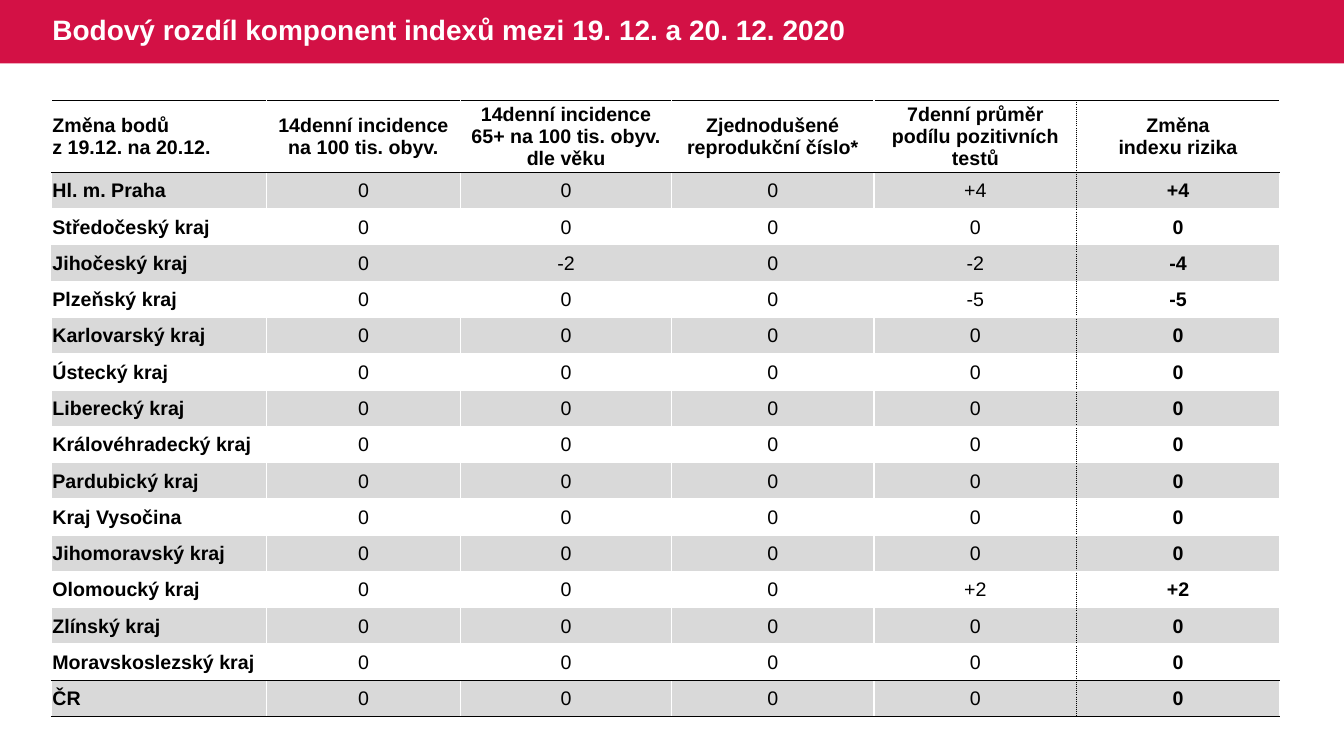
from lxml.etree import SubElement as Sub
from pptx import Presentation
from pptx.dml.color import RGBColor
from pptx.enum.shapes import MSO_SHAPE as Shape
from pptx.enum.text import MSO_ANCHOR as Anchor, PP_ALIGN as Align
from pptx.oxml.ns import qn
from pptx.util import Inches, Pt

RED = RGBColor(0xD3, 0x11, 0x45)
WHITE = RGBColor(0xFF, 0xFF, 0xFF)
BLACK = RGBColor(0x00, 0x00, 0x00)
GREY = RGBColor(0xD9, 0xD9, 0xD9)

TITLE = "Bodový rozdíl komponent indexů mezi 19. 12. a 20. 12. 2020"
HEAD = [
    "Změna bodů\nz 19.12. na 20.12.",
    "14denní incidence na 100 tis. obyv.",
    "14denní incidence 65+ na 100 tis. obyv. dle věku",
    "Zjednodušené reprodukční číslo*",
    "7denní průměr podílu pozitivních testů",
    "Změna\nindexu rizika",
]
AREAS = [
    "Hl. m. Praha", "Středočeský kraj", "Jihočeský kraj", "Plzeňský kraj",
    "Karlovarský kraj", "Ústecký kraj", "Liberecký kraj",
    "Královéhradecký kraj", "Pardubický kraj", "Kraj Vysočina",
    "Jihomoravský kraj", "Olomoucký kraj", "Zlínský kraj",
    "Moravskoslezský kraj", "ČR",
]
# Areas whose points changed; all others are zero
MOVES = {
    "Hl. m. Praha": ["0", "0", "0", "+4", "+4"],
    "Jihočeský kraj": ["0", "-2", "0", "-2", "-4"],
    "Plzeňský kraj": ["0", "0", "0", "-5", "-5"],
    "Olomoucký kraj": ["0", "0", "0", "+2", "+2"],
}
COLS = [2.13, 1.93, 2.09, 2.01, 2.01, 2.01]
ROW = 0.36
LAST = len(COLS) - 1
BARE = AREAS.index("Jihočeský kraj") + 1  # row without white grid lines
RULES = {0, 1, len(AREAS), len(AREAS) + 1}  # black lines, counted from the top


class Deck:
    font = "Arial"
    inset = {"margin_left": 0.01, "margin_top": 0.01,
             "margin_right": 0.01, "margin_bottom": 0}

    def __init__(self):
        self.prs = Presentation()
        self.prs.slide_width, self.prs.slide_height = Inches(13.33), Inches(7.5)
        self.slide = self.prs.slides.add_slide(self.prs.slide_layouts[6])

    def style(self, frame, size, color, bold, align=Align.LEFT):
        look = {"name": self.font, "size": Pt(size), "bold": bold}
        for para in frame.paragraphs:
            para.alignment = align
            for key, val in look.items():
                setattr(para.font, key, val)
            para.font.color.rgb = color

    def bar(self, x, y, w, h, color):
        box = self.slide.shapes.add_shape(
            Shape.RECTANGLE, Inches(x), Inches(y), Inches(w), Inches(h))
        box.shadow.inherit = False
        box.fill.solid()
        box.fill.fore_color.rgb = color
        box.line.fill.background()

    def text(self, x, y, w, h, words, size, color):
        box = self.slide.shapes.add_textbox(
            Inches(x), Inches(y), Inches(w), Inches(h))
        frame = box.text_frame
        frame.word_wrap = True
        frame.vertical_anchor = Anchor.MIDDLE
        frame.text = words
        frame.paragraphs[0].line_spacing = 0.9
        self.style(frame, size, color, True)

    def edge(self, cell, side, color, dash="solid"):
        line = Sub(cell._tc.get_or_add_tcPr(), qn("a:ln" + side), w=str(Pt(1)))
        if color is None:
            Sub(line, qn("a:noFill"))
            return
        Sub(Sub(line, qn("a:solidFill")), qn("a:srgbClr"), val=str(color))
        Sub(line, qn("a:prstDash"), val=dash)

    def edges(self, cell, row, col):
        grid = None if row == BARE else WHITE
        # Vertical lines: dotted before the last column
        for side, pos in (("L", col), ("R", col + 1)):
            if pos == LAST:
                self.edge(cell, side, BLACK, "sysDot")
            else:
                self.edge(cell, side, grid)
        # Horizontal lines: black around the header and the total
        for side, pos in (("T", row), ("B", row + 1)):
            if pos in RULES:
                self.edge(cell, side, BLACK)
            else:
                self.edge(cell, side, None if pos in (BARE, BARE + 1) else WHITE)

    def cell(self, cell, words, row, col):
        cell.text = words
        cell.vertical_anchor = Anchor.MIDDLE
        for key, val in self.inset.items():
            setattr(cell, key, Inches(val))
        bold = row == 0 or col in (0, LAST)
        self.style(cell.text_frame, 14, BLACK, bold,
                   Align.CENTER if col else Align.LEFT)
        self.edges(cell, row, col)
        if row % 2:
            cell.fill.solid()
            cell.fill.fore_color.rgb = GREY
        else:
            cell.fill.background()

    def table(self, x, y, w, h, rows):
        grid = self.slide.shapes.add_table(
            len(rows), len(COLS), Inches(x), Inches(y), Inches(w), Inches(h)).table
        grid.first_row = grid.horz_banding = False
        for col, wide in zip(grid.columns, COLS):
            col.width = Inches(wide)
        for row in grid.rows:
            row.height = Inches(ROW)
        for r, row in enumerate(rows):
            for c, words in enumerate(row):
                self.cell(grid.cell(r, c), words, r, c)


def main():
    deck = Deck()
    # Title band
    deck.bar(0, 0, 13.33, 0.63, RED)
    deck.text(0.42, 0, 8.19, 0.63, TITLE, 20, WHITE)
    # Table of changes by region
    body = [[area] + MOVES.get(area, ["0"] * LAST) for area in AREAS]
    deck.table(0.51, 1, 12.17, 6.12, [HEAD] + body)
    deck.prs.save("out.pptx")


if __name__ == "__main__":
    main()
